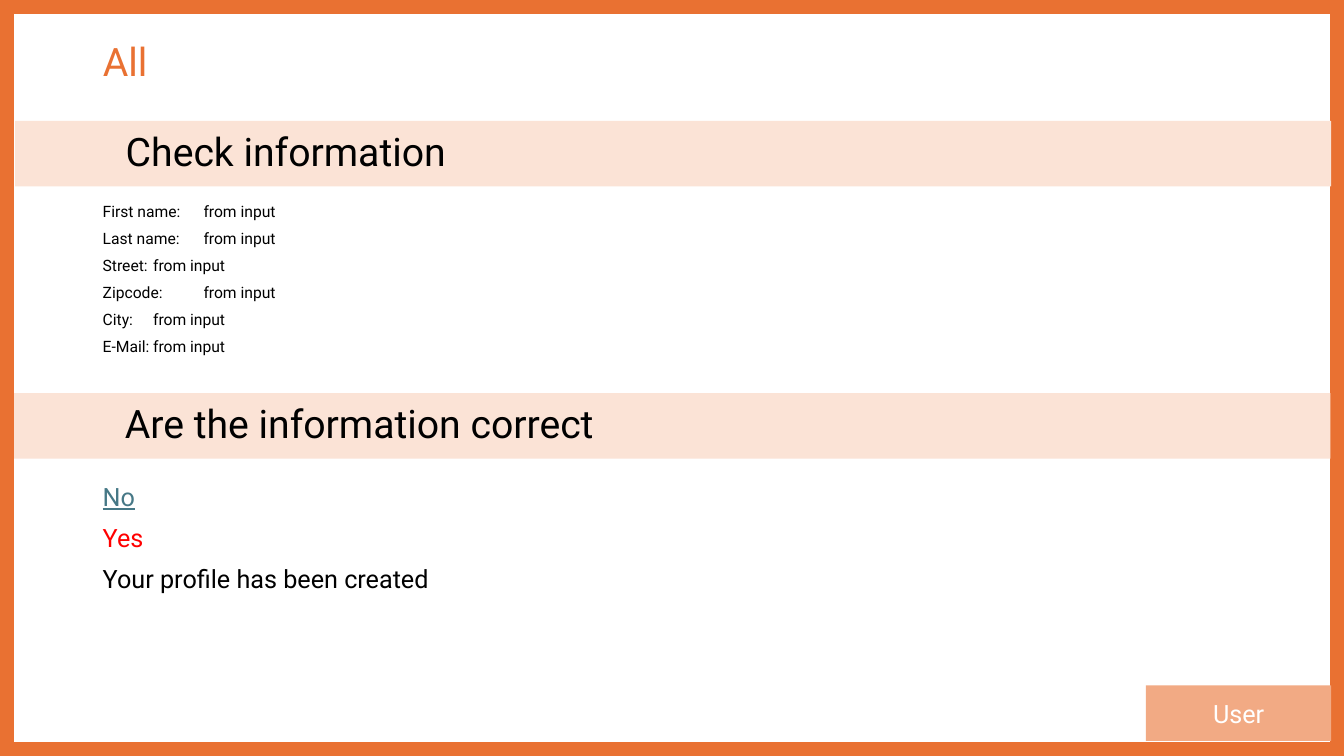
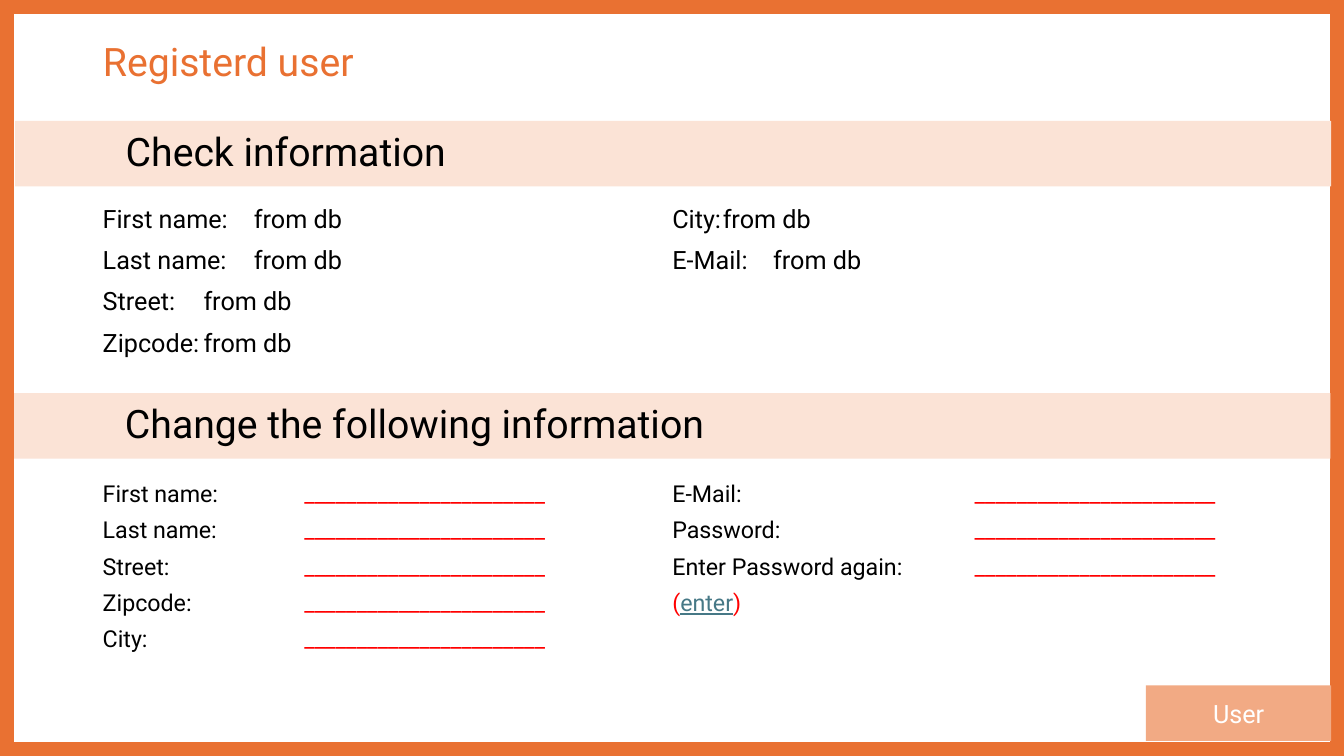
"""Build two profile pages: checking new details and changing stored ones."""
import dataclasses

import lxml.etree
import pptx
import pptx.dml.color
import pptx.enum.shapes
import pptx.enum.text
import pptx.oxml.ns
import pptx.util

Cm = pptx.util.Cm
ALIGN = pptx.enum.text.PP_ALIGN
MIDDLE = pptx.enum.text.MSO_ANCHOR.MIDDLE


@dataclasses.dataclass(frozen=True)
class Theme:
    """Colours, font and type sizes shared by every page."""
    font: str = "Roboto"
    accent: str = "E97132"
    band: str = "FBE3D6"
    tag: str = "F2AA84"
    ink: str = "000000"
    paper: str = "FFFFFF"
    link: str = "467886"
    alert: str = "FF0000"
    heading: float = 28
    body: float = 18
    form: float = 16.6
    small: float = 11.2
    frame: float = 20


THEME = Theme()
WIDTH, HEIGHT = Cm(33.87), Cm(19.05)
TITLE_BOX = (Cm(2.34), Cm(0.79), Cm(29.21), Cm(1.65))
CHECK_BAND = (Cm(0.38), Cm(3.05), Cm(33.17), Cm(1.65))
CHECK_BODY = (Cm(2.34), Cm(5.08), Cm(29.21), Cm(4.32))
ACTION_BAND = (Cm(0.36), Cm(9.91), Cm(33.17), Cm(1.65))
ACTION_BODY = (Cm(2.34), Cm(12.09), Cm(29.21), Cm(4.83))
TAG_BOX = (Cm(28.88), Cm(17.27), Cm(4.67), Cm(1.4))
BAND_INDENT = Cm(2.79)
LEFT_STOP, RIGHT_STOP = Cm(5.08), Cm(7.62)

PROFILE_FIELDS = ("First name:", "Last name:", "Street:", "Zipcode:", "City:", "E-Mail:")
LEFT_INPUTS = PROFILE_FIELDS[:5]
RIGHT_INPUTS = ("E-Mail:", "Password:", "Enter Password again:")
BLANK = "_" * 23


def rgb(value):
    """Turn a hex string into a colour."""
    return pptx.dml.color.RGBColor.from_string(value)


def add_span(para, text, size=THEME.body, color=THEME.ink, underline=False):
    """Add formatted text to a paragraph."""
    span = para.add_run()
    span.text = text
    span.font.name = THEME.font
    span.font.size = pptx.util.Pt(size)
    span.font.color.rgb = rgb(color)
    span.font.underline = underline


def space_para(para, line=0.9, before=10, align=ALIGN.LEFT):
    """Set the spacing and alignment of a paragraph."""
    para.line_spacing = line
    para.space_before = pptx.util.Pt(before)
    para.alignment = align


def set_tab_stop(para, position):
    """Give a paragraph one left tab stop."""
    tag = pptx.oxml.ns.qn
    stops = lxml.etree.SubElement(para._p.get_or_add_pPr(), tag("a:tabLst"))
    lxml.etree.SubElement(stops, tag("a:tab"), pos=str(int(position)), algn="l")


def add_panel(page, bounds, fill=None, line=None):
    """Add a plain rectangle."""
    box = page.shapes.add_shape(pptx.enum.shapes.MSO_SHAPE.RECTANGLE, *bounds)
    box.shadow.inherit = False
    if fill:
        box.fill.solid()
        box.fill.fore_color.rgb = rgb(fill)
    else:
        box.fill.background()
    if line:
        box.line.color.rgb = rgb(line)
        box.line.width = pptx.util.Pt(THEME.frame)
    else:
        box.line.fill.background()
    box.text_frame.vertical_anchor = MIDDLE
    return box


def add_frame(page):
    """Draw the page border and the user tag."""
    add_panel(page, (0, 0, WIDTH, HEIGHT), line=THEME.accent)
    tag = add_panel(page, TAG_BOX, fill=THEME.tag)
    para = tag.text_frame.paragraphs[0]
    space_para(para, line=1, before=0, align=ALIGN.CENTER)
    add_span(para, "User", color=THEME.paper)


def set_title(page, text):
    """Place and format the title placeholder."""
    title = page.shapes.title
    title.left, title.top, title.width, title.height = TITLE_BOX
    title.text_frame.auto_size = pptx.enum.text.MSO_AUTO_SIZE.NONE
    title.text_frame.vertical_anchor = MIDDLE
    para = title.text_frame.paragraphs[0]
    space_para(para, before=0)
    add_span(para, text, size=THEME.heading, color=THEME.accent)


def add_band(page, bounds, text):
    """Add a section heading across the page."""
    band = add_panel(page, bounds, fill=THEME.band)
    band.text_frame.margin_left = BAND_INDENT
    para = band.text_frame.paragraphs[0]
    space_para(para)
    add_span(para, text, size=THEME.heading)


def add_body(page, bounds, rows, size=THEME.body, line=0.9):
    """Add two-column text from rows of (tab stop, spans)."""
    box = page.shapes.add_textbox(*bounds)
    frame = box.text_frame
    frame.word_wrap = True
    frame._txBody.bodyPr.set("numCol", "2")
    for index, (stop, spans) in enumerate(rows):
        para = frame.add_paragraph() if index else frame.paragraphs[0]
        space_para(para, line=line)
        if stop:
            set_tab_stop(para, stop)
        for text, style in spans:
            add_span(para, text, size=size, **style)


def value_rows(value):
    """List the profile fields with where their values come from."""
    return [(None, [(f"{field}\t{value}", {})]) for field in PROFILE_FIELDS]


def input_rows(fields, stop):
    """List fields followed by a blank to fill in."""
    return [(stop, [(f"{field}\t", {}), (BLANK, {"color": THEME.alert})])
            for field in fields]


def start_page(deck, title, action):
    """Add a page with its frame, title and two section headings."""
    page = deck.slides.add_slide(deck.slide_layouts[5])
    add_frame(page)
    set_title(page, title)
    add_band(page, CHECK_BAND, "Check information")
    add_band(page, ACTION_BAND, action)
    return page


def add_confirm_page(deck):
    """Add the page that confirms newly entered details."""
    page = start_page(deck, "All", "Are the information correct")
    add_body(page, CHECK_BODY, value_rows("from input"), size=THEME.small, line=0.7)
    answers = (
        ("No", {"color": THEME.link, "underline": True}),
        ("Yes", {"color": THEME.alert}),
        ("Your profile has been created", {}),
    )
    add_body(page, ACTION_BODY, [(None, [answer]) for answer in answers])


def add_change_page(deck):
    """Add the page that changes stored details."""
    page = start_page(deck, "Registerd user", "Change the following information")
    add_body(page, CHECK_BODY, value_rows("from db"))
    alert = {"color": THEME.alert}
    enter = [("(", alert), ("enter", {"color": THEME.link, "underline": True}), (")", alert)]
    rows = input_rows(LEFT_INPUTS, LEFT_STOP) + input_rows(RIGHT_INPUTS, RIGHT_STOP)
    add_body(page, ACTION_BODY, rows + [(None, enter)], size=THEME.form, line=0.8)


def main():
    """Build and save the deck."""
    deck = pptx.Presentation()
    deck.slide_width, deck.slide_height = WIDTH, HEIGHT
    add_confirm_page(deck)
    add_change_page(deck)
    deck.save("out.pptx")


if __name__ == "__main__":
    main()
